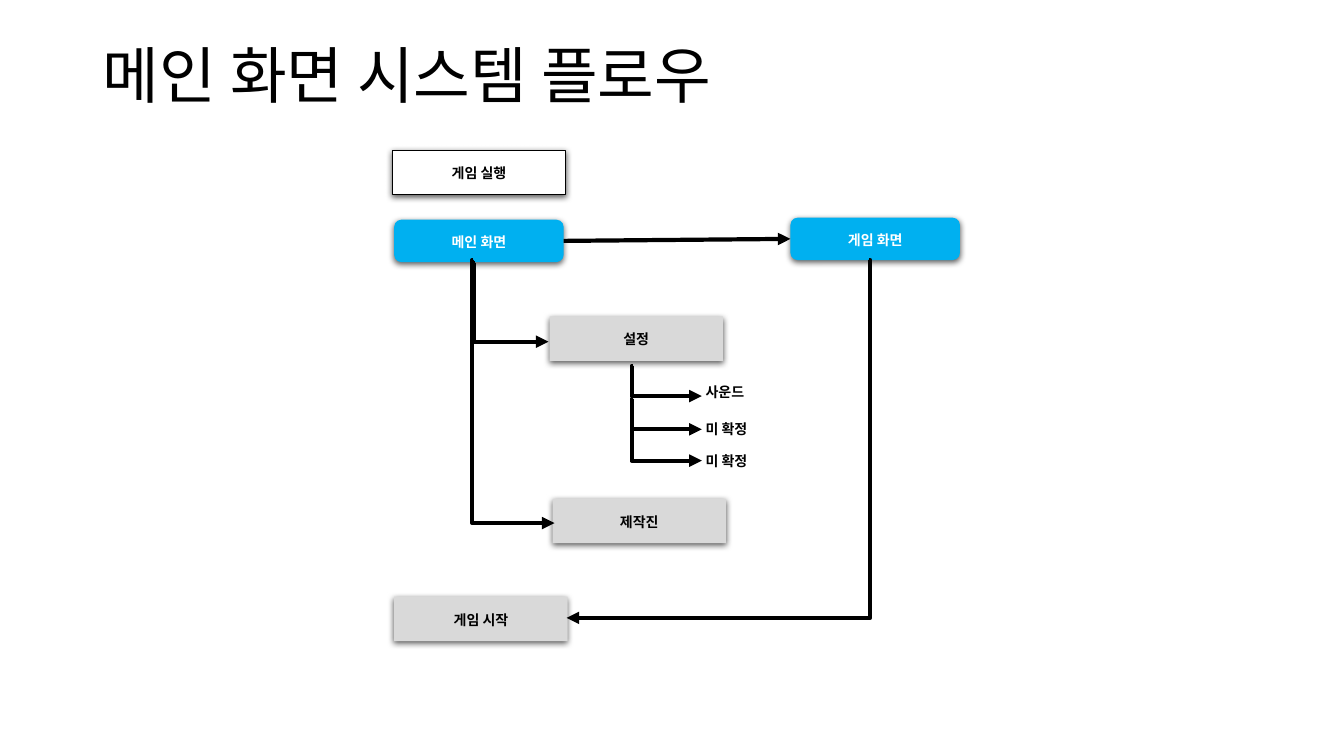
from dataclasses import dataclass

import pptx
import pptx.dml.color
import pptx.enum.shapes
import pptx.enum.text
import pptx.oxml
import pptx.oxml.ns
import pptx.shapes.autoshape
import pptx.shapes.connector
import pptx.slide
import pptx.text.text
import pptx.util

RGBColor = pptx.dml.color.RGBColor
MSO_SHAPE = pptx.enum.shapes.MSO_SHAPE
MSO_CONNECTOR = pptx.enum.shapes.MSO_CONNECTOR
MSO_ANCHOR = pptx.enum.text.MSO_ANCHOR
PP_ALIGN = pptx.enum.text.PP_ALIGN

BLACK = RGBColor(0x00, 0x00, 0x00)
WHITE = RGBColor(0xFF, 0xFF, 0xFF)
BLUE = RGBColor(0x00, 0xB0, 0xF0)
GREY = RGBColor(0xD9, 0xD9, 0xD9)

FONT = "Noto Sans CJK KR"
PX = 9144  # EMU per px, 100 px to the inch
NS = pptx.oxml.ns.nsdecls("a")
RIGHT_SIDE, LEFT_SIDE = 3, 1


@dataclass(frozen=True)
class Style:
    preset: MSO_SHAPE
    w: int
    h: int
    fill: RGBColor
    text: RGBColor
    outlined: bool = False


@dataclass(frozen=True)
class Box:
    label: str
    x: int
    y: int
    style: Style


@dataclass(frozen=True)
class Elbow:
    """Arrow that runs down from its start, then sideways to its end."""
    x1: int
    y1: int
    x2: int
    y2: int
    adj: int = -800


SCREEN = Style(MSO_SHAPE.ROUNDED_RECTANGLE, 168, 42, BLUE, WHITE)
START = Style(MSO_SHAPE.RECTANGLE, 172, 44, WHITE, BLACK, outlined=True)
STEP = Style(MSO_SHAPE.RECTANGLE, 172, 44, GREY, BLACK)

MAIN_SCREEN = Box("메인 화면", 391, 218, SCREEN)
GAME_SCREEN = Box("게임 화면", 784, 216, SCREEN)
OTHER_BOXES = [
    Box("게임 실행", 389, 149, START),
    Box("설정", 545, 314, STEP),
    Box("제작진", 548, 495, STEP),
    Box("게임 시작", 391, 592, STEP),
]
SCREEN_ELBOWS = [
    Elbow(471, 261, 544, 339),
    Elbow(469, 258, 550, 519),
    Elbow(862, 258, 562, 613, adj=-400),
]
SETTING_ELBOWS = [Elbow(627, y, 696, y + 30) for y in (363, 396, 427)]
SETTINGS = [("사운드", 374), ("미 확정", 411), ("미 확정", 443)]


def write(p: pptx.text.text._Paragraph, text: str, color: RGBColor,
          para: dict, size: int = 10, bold: bool = True) -> None:
    for name, value in para.items():
        setattr(p, name, value)
    r = p.add_run()
    r.text = text
    font = {"name": FONT, "size": pptx.util.Pt(size), "bold": bold}
    for name, value in font.items():
        setattr(r.font, name, value)
    r.font.color.rgb = color
    r.font._element.append(
        pptx.oxml.parse_xml(f'<a:ea {NS} typeface="{FONT}"/>'))


def label_format(align: PP_ALIGN) -> dict:
    return {"alignment": align, "line_spacing": 1.07,
            "space_after": pptx.util.Pt(8)}


def add_shadow(sp: pptx.shapes.autoshape.Shape) -> None:
    sp.shadow.inherit = False
    effects = sp._element.spPr.find(pptx.oxml.ns.qn("a:effectLst"))
    effects.append(pptx.oxml.parse_xml(
        f'<a:outerShdw {NS} blurRad="57150" dist="19050" dir="5400000" '
        'algn="ctr" rotWithShape="0"><a:srgbClr val="000000">'
        '<a:alpha val="63000"/></a:srgbClr></a:outerShdw>'))


def add_box(s: pptx.slide.Slide, box: Box) -> pptx.shapes.autoshape.Shape:
    style = box.style
    sp = s.shapes.add_shape(style.preset, box.x * PX, box.y * PX,
                            style.w * PX, style.h * PX)
    sp.fill.solid()
    sp.fill.fore_color.rgb = style.fill
    if style.outlined:
        sp.line.color.rgb = BLACK
        sp.line.width = pptx.util.Pt(0.75)
    else:
        sp.line.fill.background()
    add_shadow(sp)
    tf = sp.text_frame
    tf.word_wrap = True
    tf.vertical_anchor = MSO_ANCHOR.MIDDLE
    write(tf.paragraphs[0], box.label, style.text,
          label_format(PP_ALIGN.CENTER))
    return sp


def format_arrow(c: pptx.shapes.connector.Connector) -> None:
    c.line.color.rgb = BLACK
    c.line.width = pptx.util.Pt(3)
    c.line._get_or_add_ln().append(
        pptx.oxml.parse_xml(f'<a:tailEnd {NS} type="triangle"/>'))
    c._element.spPr.append(pptx.oxml.parse_xml(f"<a:effectLst {NS}/>"))


def add_elbow(s: pptx.slide.Slide, e: Elbow) -> None:
    c = s.shapes.add_connector(MSO_CONNECTOR.ELBOW, e.x1 * PX, e.y1 * PX,
                               e.x2 * PX, e.y2 * PX)
    geometry = c._element.spPr.find(pptx.oxml.ns.qn("a:prstGeom"))
    for old in list(geometry):
        geometry.remove(old)
    geometry.append(pptx.oxml.parse_xml(
        f'<a:avLst {NS}><a:gd name="adj1" fmla="val {e.adj}"/></a:avLst>'))
    format_arrow(c)


def add_title(s: pptx.slide.Slide, text: str) -> None:
    title = s.shapes.title
    place = {"left": 92, "top": 40, "width": 1150, "height": 145}
    for name, value in place.items():
        setattr(title, name, value * PX)
    tf = title.text_frame
    tf.word_wrap = True
    tf.auto_size = pptx.enum.text.MSO_AUTO_SIZE.NONE
    tf.vertical_anchor = MSO_ANCHOR.TOP
    write(tf.paragraphs[0], text, BLACK,
          {"alignment": PP_ALIGN.LEFT, "line_spacing": 0.9},
          size=44, bold=False)


def add_setting(s: pptx.slide.Slide, text: str, y: int) -> None:
    tf = s.shapes.add_textbox(690 * PX, y * PX, 116 * PX, 43 * PX).text_frame
    tf.word_wrap = True
    write(tf.paragraphs[0], text, BLACK, label_format(PP_ALIGN.JUSTIFY))


def main() -> None:
    prs = pptx.Presentation()
    prs.slide_width, prs.slide_height = 1333 * PX, 750 * PX
    s = prs.slides.add_slide(prs.slide_layouts[5])
    add_title(s, "메인 화면 시스템 플로우")

    main_screen = add_box(s, MAIN_SCREEN)
    game_screen = add_box(s, GAME_SCREEN)
    for box in OTHER_BOXES:
        add_box(s, box)

    c = s.shapes.add_connector(MSO_CONNECTOR.STRAIGHT, 0, 0, 0, 0)
    c.begin_connect(main_screen, RIGHT_SIDE)
    c.end_connect(game_screen, LEFT_SIDE)
    format_arrow(c)
    for elbow in SCREEN_ELBOWS + SETTING_ELBOWS:
        add_elbow(s, elbow)

    for text, y in SETTINGS:
        add_setting(s, text, y)
    prs.save("out.pptx")


if __name__ == "__main__":
    main()
